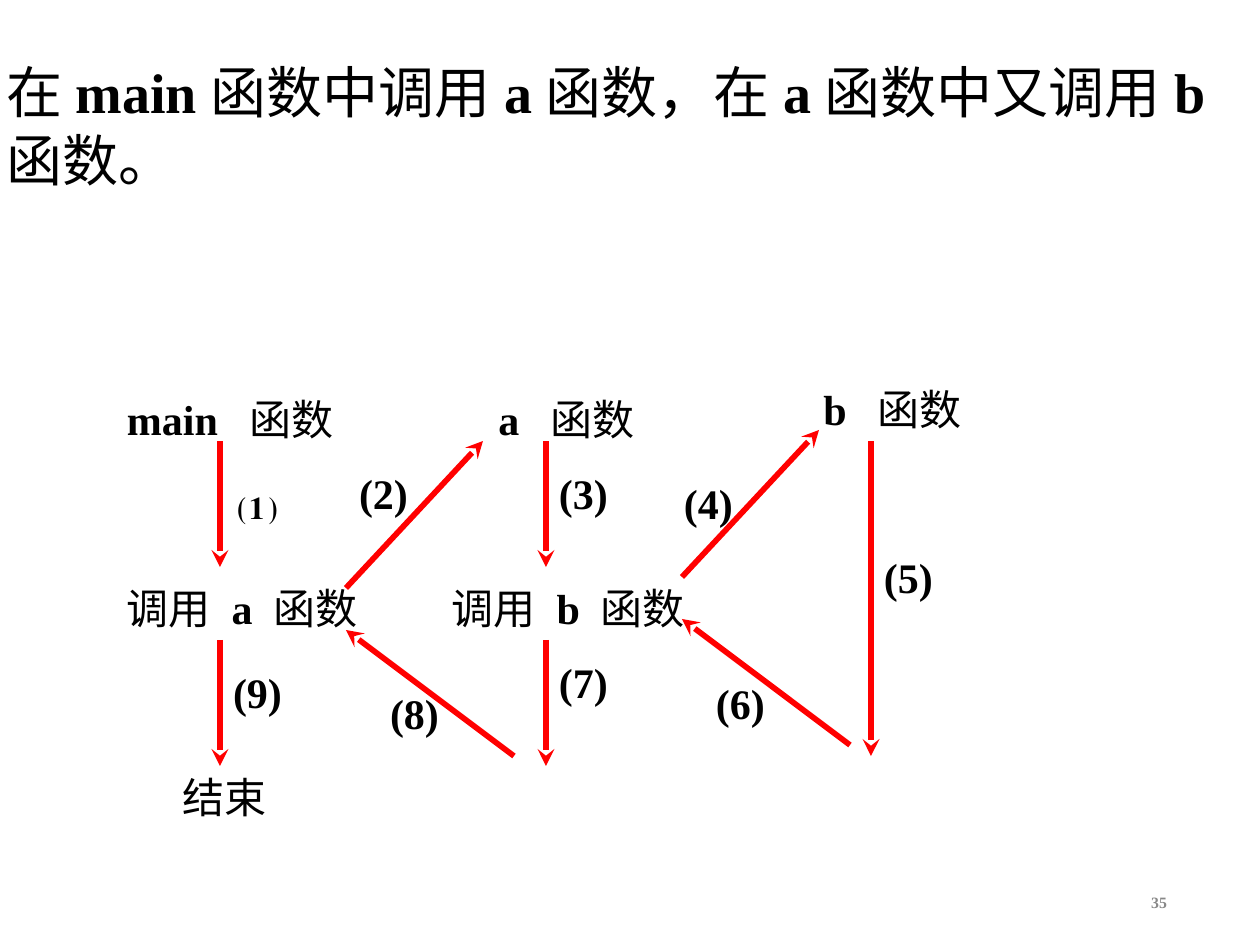
import itertools
from dataclasses import dataclass

import pptx
import pptx.dml.color
import pptx.enum.shapes
import pptx.enum.text
import pptx.oxml
import pptx.oxml.ns
import pptx.util

EMU_PER_PX = 914400 / 126
COLOURS = {"text": "000000", "arrow": "FF0000", "number": "888888"}
LATIN, CHINESE = "Times New Roman", "Noto Sans CJK SC"
ALIGN = pptx.enum.text.PP_ALIGN
ANCHOR = pptx.enum.text.MSO_ANCHOR


@dataclass
class Label:
    text: str
    left: int
    top: int
    width: int
    height: int = 60
    align: ALIGN = ALIGN.CENTER


@dataclass
class Call:
    number: str
    start: tuple[int, int]
    end: tuple[int, int]
    label_at: tuple[int, int]


def px(length: int) -> int:
    return round(length * EMU_PER_PX)


def colour(name: str) -> pptx.dml.color.RGBColor:
    return pptx.dml.color.RGBColor.from_string(COLOURS[name])


def is_chinese(char: str) -> bool:
    return char > "⿿"


def write(shape, text: str, size: int, inset: int, align: ALIGN,
          spacing: float, tint: str = "text", anchor: ANCHOR = ANCHOR.TOP,
          wrap: bool = True) -> None:
    """Fill a shape with one paragraph: Latin parts bold, Chinese parts plain."""
    frame = shape.text_frame
    frame.auto_size = pptx.enum.text.MSO_AUTO_SIZE.NONE
    frame.word_wrap = wrap
    frame.vertical_anchor = anchor
    frame.margin_left = frame.margin_right = px(inset)
    frame.margin_top = frame.margin_bottom = px(inset)
    para = frame.paragraphs[0]
    para.alignment = align
    para.line_spacing = spacing
    para.space_before = pptx.util.Pt(0)
    para.font.size = pptx.util.Pt(size)
    para.font.color.rgb = colour(tint)
    for chinese, chars in itertools.groupby(text, is_chinese):
        span = para.add_run()
        span.text = "".join(chars)
        span.font.bold = not chinese
        span.font.name = CHINESE if chinese else LATIN
        east_asian = pptx.oxml.parse_xml(
            f'<a:ea {pptx.oxml.ns.nsdecls("a")} typeface="{span.font.name}"/>')
        span.font._element.find(pptx.oxml.ns.qn("a:latin")).addnext(east_asian)


def add_label(page, label: Label) -> None:
    box = page.shapes.add_textbox(px(label.left), px(label.top),
                                  px(label.width), px(label.height))
    write(box, label.text, 24, 1, label.align, 1.1)


def add_call(page, call: Call) -> None:
    arrow = page.shapes.add_connector(
        pptx.enum.shapes.MSO_CONNECTOR.STRAIGHT,
        *(px(value) for value in call.start + call.end))
    arrow.line.color.rgb = colour("arrow")
    arrow.line.width = pptx.util.Pt(3.25)
    namespace = pptx.oxml.ns.nsdecls("a")
    arrow.line._get_or_add_ln().append(
        pptx.oxml.parse_xml(f'<a:tailEnd {namespace} type="stealth"/>'))
    arrow._element.spPr.append(pptx.oxml.parse_xml(f"<a:effectLst {namespace}/>"))
    add_label(page, Label(call.number, *call.label_at, 53, 48))


LABELS = [
    Label("main  函数", 126, 388, 231, align=ALIGN.LEFT),
    Label("a  函数", 451, 388, 231),
    Label("b  函数", 777, 378, 231),
    Label("调用 a 函数", 126, 577, 242, align=ALIGN.LEFT),
    Label("调用 b 函数", 451, 577, 242, align=ALIGN.LEFT),
    Label("结束", 94, 766, 262),
]

# Numbered in the order of execution
CALLS = [
    Call("⑴", (220, 441), (220, 567), (231, 472)),
    Call("(2)", (346, 588), (483, 441), (357, 462)),
    Call("(3)", (546, 441), (546, 567), (557, 462)),
    Call("(4)", (682, 577), (819, 430), (682, 472)),
    Call("(5)", (871, 441), (871, 756), (882, 546)),
    Call("(6)", (850, 745), (682, 619), (714, 672)),
    Call("(7)", (546, 640), (546, 766), (557, 651)),
    Call("(8)", (514, 756), (346, 630), (388, 682)),
    Call("(9)", (220, 640), (220, 766), (231, 661)),
]


def main() -> None:
    deck = pptx.Presentation()
    deck.slide_width, deck.slide_height = px(1260), px(945)
    page = deck.slides.add_slide(deck.slide_layouts[5])

    # Title
    title = page.shapes.title
    title.left, title.top, title.width, title.height = map(px, (0, 52, 1260, 173))
    write(title, "在main函数中调用a函数，在a函数中又调用b函数。", 32, 6, ALIGN.LEFT, 1.0)

    # Call diagram
    for label in LABELS:
        add_label(page, label)
    for call in CALLS:
        add_call(page, call)

    # Page number
    number = page.shapes.add_textbox(px(1143), px(886), px(30), px(29))
    write(number, "35", 9, 6, ALIGN.RIGHT, 1.2, "number", ANCHOR.MIDDLE, wrap=False)

    deck.save("out.pptx")


if __name__ == "__main__":
    main()
